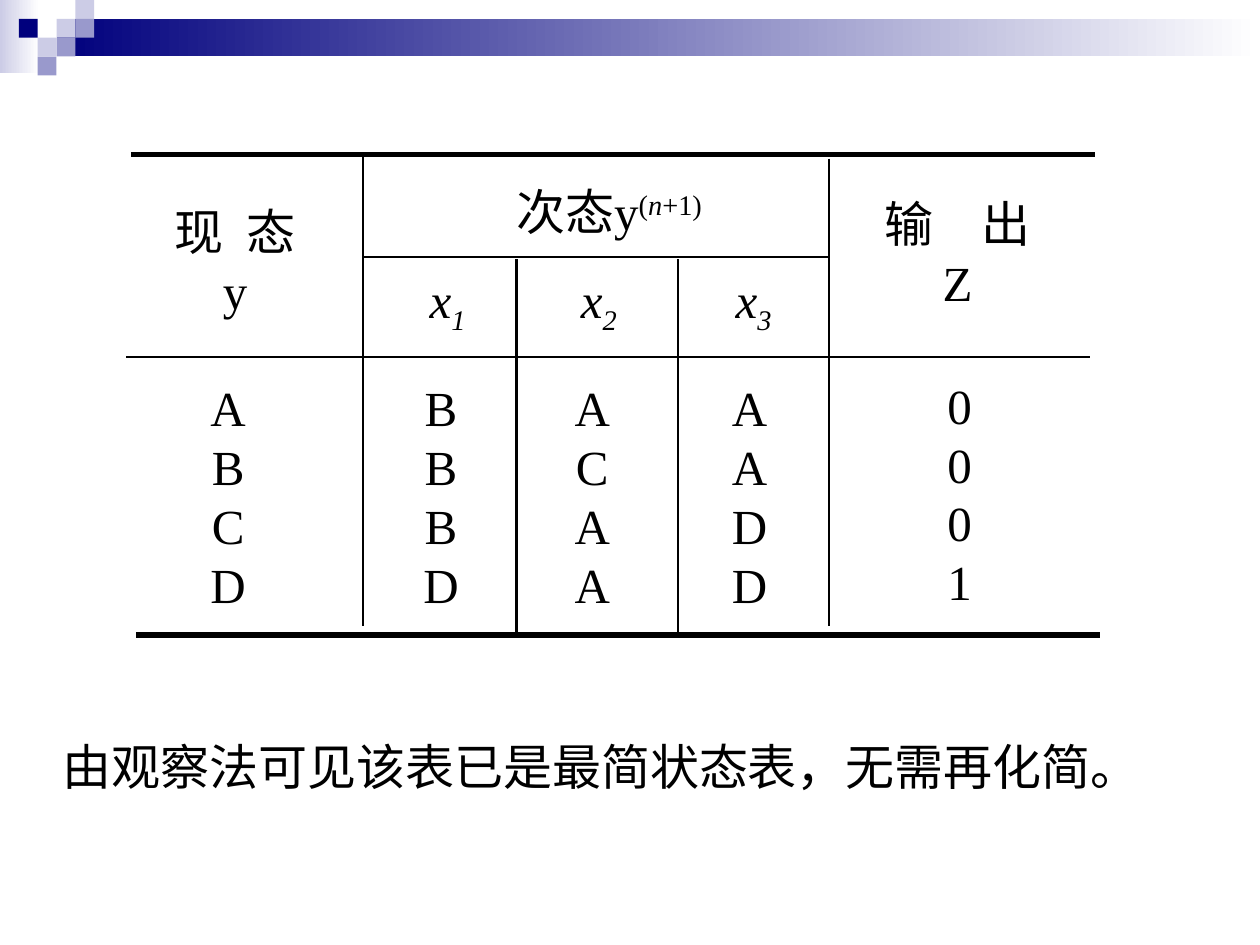
from dataclasses import dataclass

from lxml import etree
from pptx import Presentation
from pptx.dml.color import RGBColor
from pptx.enum.shapes import MSO_CONNECTOR, MSO_SHAPE
from pptx.enum.text import MSO_AUTO_SIZE, PP_ALIGN
from pptx.oxml.ns import qn
from pptx.util import Cm, Pt


@dataclass(frozen=True)
class Theme:
    navy: RGBColor = RGBColor(0x00, 0x00, 0x7D)
    violet: RGBColor = RGBColor(0x99, 0x99, 0xCC)
    lilac: RGBColor = RGBColor(0xCC, 0xCC, 0xE6)
    white: RGBColor = RGBColor(0xFF, 0xFF, 0xFF)
    ink: RGBColor = RGBColor(0x00, 0x00, 0x00)
    font: str = "Times New Roman"
    size: Pt = Pt(28)
    thick: Pt = Pt(3)
    medium: Pt = Pt(1.5)
    thin: Pt = Pt(1)


theme = Theme()
deck = Presentation()
deck.slide_width, deck.slide_height = Cm(25.4), Cm(19.05)
page = deck.slides.add_slide(deck.slide_layouts[6])


def add_block(left, top, width, height, color, fade=False):
    """Add a borderless rectangle, optionally fading to white on the right."""
    block = page.shapes.add_shape(
        MSO_SHAPE.RECTANGLE, Cm(left), Cm(top), Cm(width), Cm(height))
    block.shadow.inherit = False
    block.line.fill.background()
    if fade:
        block.fill.gradient()
        block.fill.gradient_angle = 0
        for stop, shade in zip(block.fill.gradient_stops, (color, theme.white)):
            stop.color.rgb = shade
    else:
        block.fill.solid()
        block.fill.fore_color.rgb = color


def add_text(left, top, width, height, lines, align=PP_ALIGN.CENTER, wrap=False):
    """Add a text box; each line is a list of (text, italic, run attributes)."""
    box = page.shapes.add_textbox(Cm(left), Cm(top), Cm(width), Cm(height))
    frame = box.text_frame
    frame.word_wrap = wrap
    frame.auto_size = MSO_AUTO_SIZE.SHAPE_TO_FIT_TEXT
    for index, line in enumerate(lines):
        para = frame.add_paragraph() if index else frame.paragraphs[0]
        para.alignment = align
        for text, italic, attributes in line:
            span = para.add_run()
            span.text = text
            span.font.name = theme.font
            span.font.size = theme.size
            span.font.italic = italic
            span.font.color.rgb = theme.ink
            for name, value in attributes.items():
                span._r.get_or_add_rPr().set(name, value)


# Banner: two fading bands and a mosaic on a square grid
tile = 0.38
add_block(0, 0, 0.79, 1.47, theme.lilac, fade=True)
add_block(3 * tile, tile, 25.4 - 3 * tile, 2 * tile, theme.navy, fade=True)
mosaic = [
    (3, 1, theme.lilac), (4, 0, theme.lilac), (4, 1, theme.violet),
    (2, 2, theme.lilac), (1, 1, theme.navy), (3, 2, theme.violet),
    (2, 3, theme.violet),
]
for column, row, color in mosaic:
    add_block(column * tile, row * tile, tile, tile, color)

# Rules of the state table
rules = [
    (2.64, 3.12, 22.07, 3.12, theme.thick),
    (2.74, 12.8, 22.17, 12.8, theme.thick),
    (7.32, 5.18, 16.71, 5.18, theme.thin),
    (2.54, 7.19, 21.97, 7.19, theme.thin),
    (7.32, 3.12, 7.32, 12.62, theme.medium),
    (10.41, 5.23, 10.41, 12.75, theme.medium),
    (13.67, 5.23, 13.67, 12.75, theme.medium),
    (16.71, 3.2, 16.71, 12.62, theme.medium),
]
for x1, y1, x2, y2, weight in rules:
    rule = page.shapes.add_connector(
        MSO_CONNECTOR.STRAIGHT, Cm(x1), Cm(y1), Cm(x2), Cm(y2))
    rule.line.color.rgb = theme.ink
    rule.line.width = weight
    etree.SubElement(rule._element.spPr, qn("a:effectLst"))

# Headings; letter spacing on the single space sets the gap between characters
headings = [
    (2.98, 3.94, 3.52, "现", "态", "y", "700"),
    (17.33, 3.78, 3.95, "输", "出", "Z", "2100"),
]
for left, top, width, first, second, symbol, gap in headings:
    add_text(left, top, width, 2.64, [
        [(first, False, {}), (" ", False, {"spc": gap}), (second, False, {})],
        [(symbol, False, {})],
    ])

raised = {"baseline": "30000"}
lowered = {"baseline": "-25000"}
add_text(10.16, 3.53, 5.2, 1.45, [[
    ("次态y", False, {}), ("(", False, raised),
    ("n", True, raised), ("+1)", False, raised),
]], PP_ALIGN.LEFT)
for number, left in enumerate((8.41, 11.46, 14.58), start=1):
    add_text(left, 5.31, 1.6, 1.6,
             [[("x", True, {}), (str(number), True, lowered)]], PP_ALIGN.LEFT)

# State columns
columns = [
    (3.99, 7.49, 1.22, "ABCD"),
    (8.28, 7.49, 1.22, "BBBD"),
    (11.33, 7.49, 1.22, "ACAA"),
    (14.5, 7.49, 1.22, "AADD"),
    (18.85, 7.44, 0.99, "0001"),
]
for left, top, width, values in columns:
    add_text(left, top, width, 5, [[(value, False, {})] for value in values])

add_text(1.02, 14.73, 22.96, 1.45,
         [[("由观察法可见该表已是最简状态表，无需再化简。", False, {})]],
         PP_ALIGN.LEFT, wrap=True)

deck.save("out.pptx")
